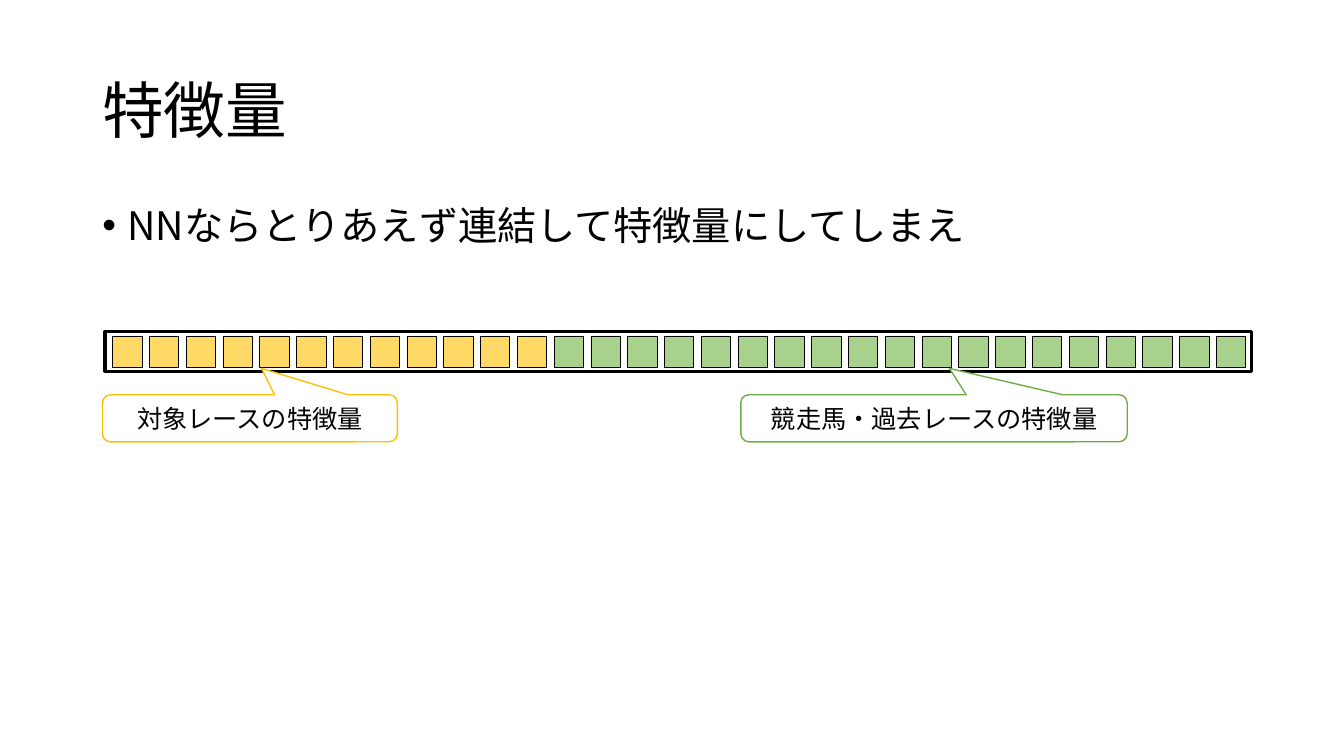
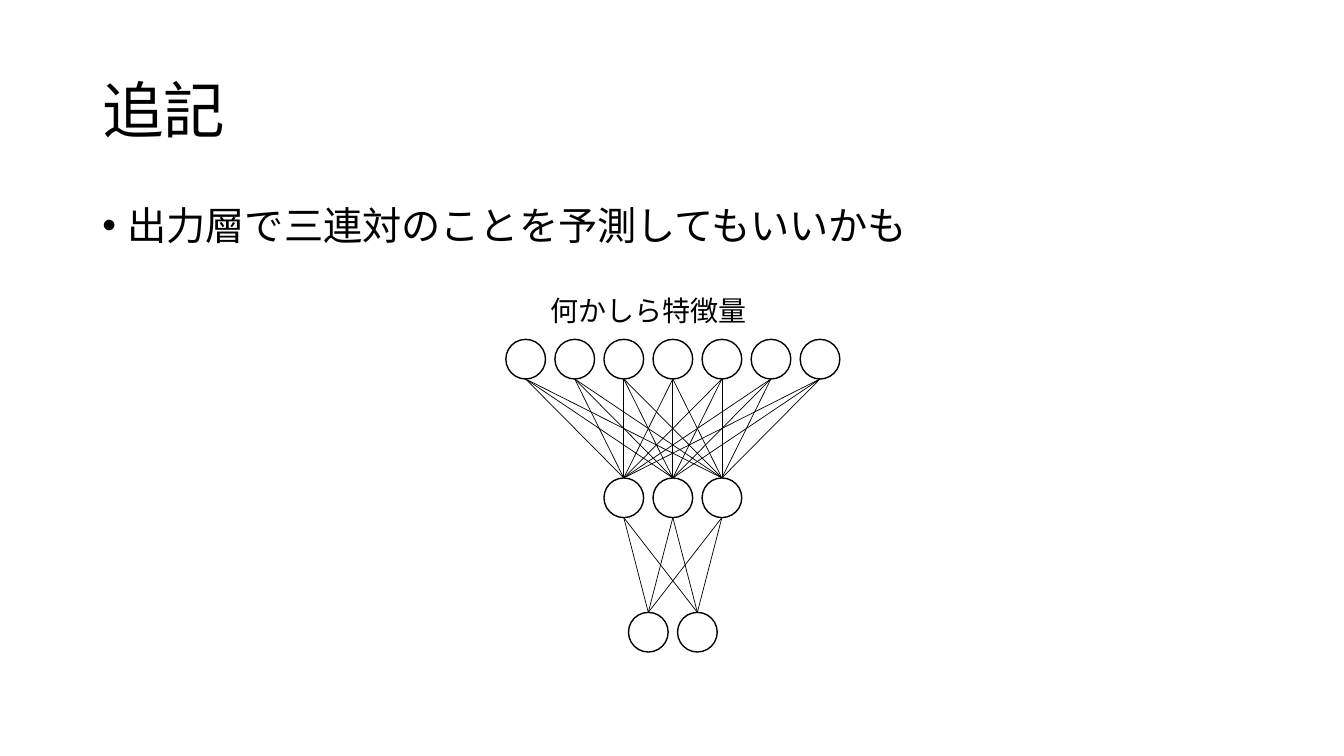
from dataclasses import dataclass
from itertools import pairwise, product

from lxml.etree import SubElement
from pptx import Presentation
from pptx.dml.color import RGBColor
from pptx.enum.shapes import MSO_CONNECTOR, MSO_SHAPE
from pptx.enum.text import MSO_ANCHOR, PP_ALIGN
from pptx.oxml.ns import qn
from pptx.util import Inches, Pt

COLUMNS, ROWS = 160, 90


@dataclass(frozen=True)
class Theme:
    font: str = "Noto Sans CJK JP"
    bullet_font: str = "Arial"
    ink: str = "000000"
    paper: str = "FFFFFF"
    race_fill: str = "FFD966"
    race_line: str = "FFC000"
    horse_fill: str = "A9D18E"
    horse_line: str = "70AD47"
    title_size: float = 44
    body_size: float = 28
    label_size: float = 20
    callout_size: float = 18
    hairline: float = 0.5
    outline: float = 1
    frame_line: float = 2.25
    line_spacing: float = 0.9
    space_before: float = 10


class Deck:
    """Draws themed elements; positions and sizes are in grid columns and rows."""

    def __init__(self, theme):
        self.theme = theme
        self.presentation = Presentation()
        self.presentation.slide_width = Inches(13.33)
        self.presentation.slide_height = Inches(7.5)
        self.slide = None

    def x(self, columns):
        return round(self.presentation.slide_width * columns / COLUMNS)

    def y(self, rows):
        return round(self.presentation.slide_height * rows / ROWS)

    def box(self, left, top, width, height):
        return self.x(left), self.y(top), self.x(width), self.y(height)

    def new_slide(self, title, statement):
        blank = self.presentation.slide_layouts[6]
        self.slide = self.presentation.slides.add_slide(blank)
        fill = self.slide.background.fill
        fill.solid()
        fill.fore_color.rgb = RGBColor.from_string(self.theme.paper)
        self.text(title, (11, 4.8, 138, 17.4), self.theme.title_size,
                  anchor=MSO_ANCHOR.MIDDLE)
        body = self.text(statement, (11, 24, 138, 7), self.theme.body_size,
                         before=self.theme.space_before)
        self.bullet(body)

    def add_run(self, paragraph, content, size):
        run = paragraph.add_run()
        run.text = content
        run.font.size = Pt(size)
        run.font.name = self.theme.font
        run.font.color.rgb = RGBColor.from_string(self.theme.ink)
        properties = run.font._element
        SubElement(properties, qn("a:ea"), typeface=self.theme.font)

    def text(self, content, area, size, anchor=MSO_ANCHOR.TOP, before=0):
        frame = self.slide.shapes.add_textbox(*self.box(*area)).text_frame
        frame.word_wrap = True
        frame.vertical_anchor = anchor
        paragraph = frame.paragraphs[0]
        paragraph.line_spacing = self.theme.line_spacing
        paragraph.space_before = Pt(before)
        self.add_run(paragraph, content, size)
        return paragraph

    def bullet(self, paragraph):
        properties = paragraph._p.get_or_add_pPr()
        properties.set("marL", str(Inches(0.25)))
        properties.set("indent", str(-Inches(0.25)))
        SubElement(properties, qn("a:buFont"), typeface=self.theme.bullet_font)
        SubElement(properties, qn("a:buChar"), char="•")

    def shape(self, preset, area, fill, line, weight):
        shape = self.slide.shapes.add_shape(preset, *self.box(*area))
        shape.shadow.inherit = False
        shape.fill.solid()
        shape.fill.fore_color.rgb = RGBColor.from_string(fill)
        shape.line.color.rgb = RGBColor.from_string(line)
        shape.line.width = Pt(weight)
        return shape

    def callout(self, content, area, line):
        balloon = self.shape(MSO_SHAPE.ROUNDED_RECTANGULAR_CALLOUT, area,
                             self.theme.paper, line, self.theme.outline)
        for index, value in enumerate((0.04, -1.06, 0.17)):
            balloon.adjustments[index] = value
        frame = balloon.text_frame
        frame.word_wrap = True
        frame.vertical_anchor = MSO_ANCHOR.MIDDLE
        paragraph = frame.paragraphs[0]
        paragraph.alignment = PP_ALIGN.CENTER
        self.add_run(paragraph, content, self.theme.callout_size)

    def neuron(self, center, top, diameter):
        """Draw a circle; the grid cells are square, so one diameter suffices."""
        area = (center - diameter / 2, top, diameter, diameter)
        self.shape(MSO_SHAPE.OVAL, area, self.theme.paper, self.theme.ink,
                   self.theme.outline)

    def edge(self, start, end):
        connector = self.slide.shapes.add_connector(
            MSO_CONNECTOR.STRAIGHT, self.x(start[0]), self.y(start[1]),
            self.x(end[0]), self.y(end[1]))
        connector.line.color.rgb = RGBColor.from_string(self.theme.ink)
        connector.line.width = Pt(self.theme.hairline)
        SubElement(connector._element.spPr, qn("a:effectLst"))


def add_features(deck):
    theme = deck.theme
    deck.new_slide("特徴量", "NNならとりあえず連結して特徴量にしてしまえ")
    deck.shape(MSO_SHAPE.RECTANGLE, (12.5, 39.5, 136.5, 4.7),
               theme.paper, theme.ink, theme.frame_line)
    race_count, horse_count = 12, 19
    feature_fills = [theme.race_fill] * race_count + [theme.horse_fill] * horse_count
    for index, fill in enumerate(feature_fills):
        deck.shape(MSO_SHAPE.RECTANGLE, (13.4 + 4.38 * index, 40, 3.5, 3.75),
                   fill, theme.ink, theme.hairline)
    deck.callout("対象レースの特徴量", (12.2, 47, 35.1, 5.6), theme.race_line)
    deck.callout("競走馬・過去レースの特徴量", (88.2, 47, 46, 5.6), theme.horse_line)


def add_network(deck):
    deck.new_slide("追記", "出力層で三連対のことを予測してもいいかも")
    diameter, pitch, middle = 4.72, 5.84, 80.1
    layers = [
        [(middle + (index - (count - 1) / 2) * pitch, top) for index in range(count)]
        for count, top in ((7, 40.4), (3, 56.9), (2, 72.9))
    ]
    for layer in layers:
        for center, top in layer:
            deck.neuron(center, top, diameter)
    for upper, lower in pairwise(layers):
        for (center, top), target in product(upper, lower):
            deck.edge((center, top + diameter), target)
    deck.text("何かしら特徴量", (64.3, 34.8, 36.7, 6.8), deck.theme.label_size,
              before=deck.theme.space_before)


def main():
    deck = Deck(Theme())
    add_features(deck)
    add_network(deck)
    deck.presentation.save("out.pptx")


if __name__ == "__main__":
    main()
